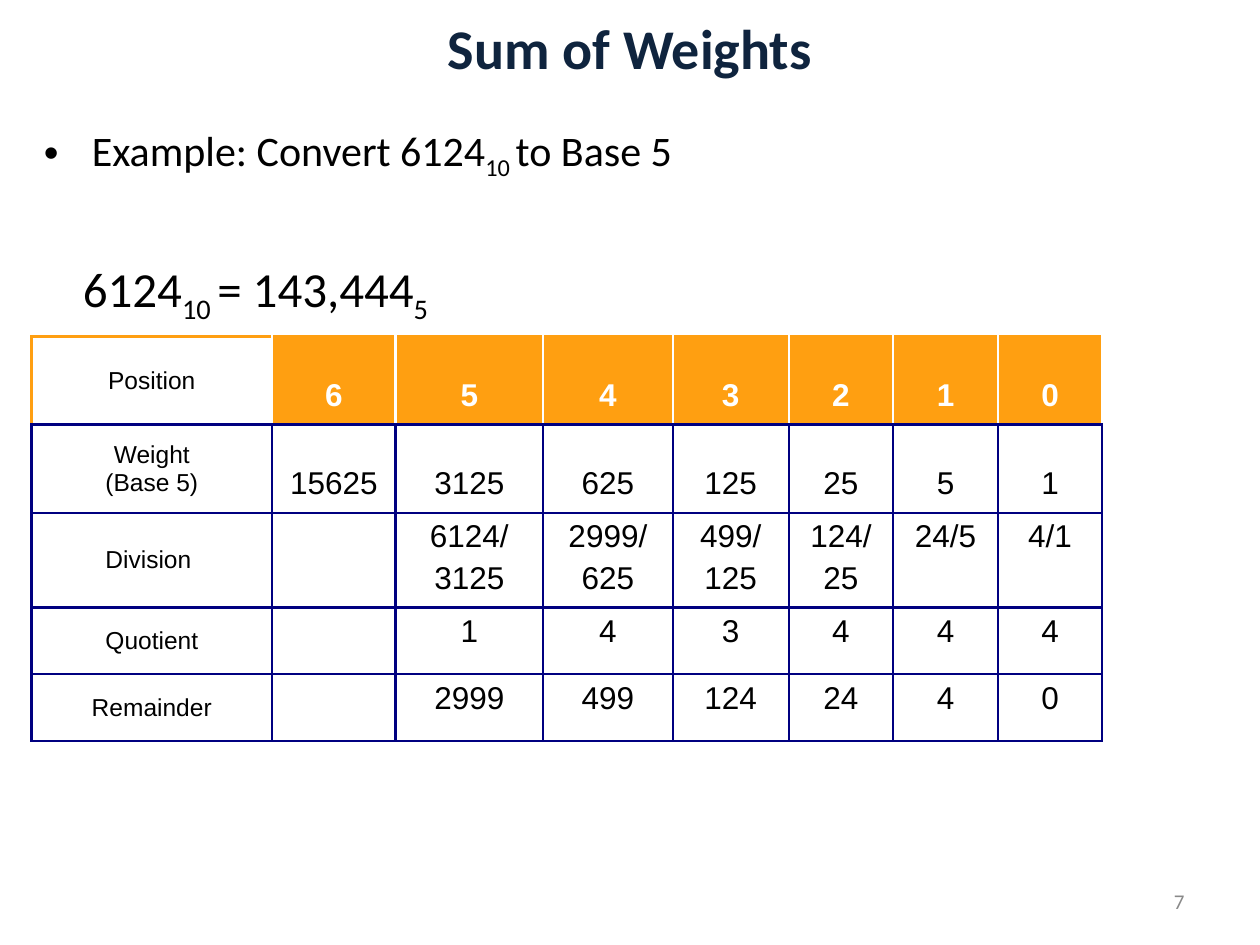
import pptx
import pptx.dml.color
import pptx.enum.text
import pptx.oxml
import pptx.oxml.ns
import pptx.util
from lxml import etree

WIDTH, HEIGHT = 10, 7.5
NAVY, ORANGE, WHITE, BLACK = "000080", "FF9F11", "FFFFFF", "000000"
ALIGN = pptx.enum.text.PP_ALIGN
ANCHOR = pptx.enum.text.MSO_ANCHOR
COLUMN_WIDTHS = [1.91, 0.98, 1.17, 1.03, 0.92, 0.83, 0.83, 0.83]
ROW_HEIGHTS = [0.67, 0.67, 0.66, 0.71, 0.53, 0.53]
ROWS = [
    ["Position", "6", "5", "4", "3", "2", "1", "0"],
    ["Weight\n(Base 5)", "15625", "3125", "625", "125", "25", "5", "1"],
    ["Division ", "", "6124/\n3125", "2999/\n625", "499/\n125", "124/\n25", "24/5", "4/1"],
    ["Quotient", "", "1", "4", "3", "4", "4", "4"],
    ["Remainder", "", "2999", "499", "124", "24", "4", "0"],
]


def color(value):
    """Return the colour for a hex string."""
    return pptx.dml.color.RGBColor.from_string(value)


def box(left, top, width, height):
    """Turn shares of the slide's size into a position and size."""
    shares = (left * WIDTH, top * HEIGHT, width * WIDTH, height * HEIGHT)
    return [pptx.util.Inches(share) for share in shares]


def format_paragraph(paragraph, size, hex_color=BLACK, name="Calibri", bold=False, align=ALIGN.LEFT):
    """Set the alignment and font of a paragraph."""
    paragraph.alignment = align
    font = paragraph.font
    font.size, font.name, font.bold = pptx.util.Pt(size), name, bold
    font.color.rgb = color(hex_color)


def add_runs(paragraph, parts):
    """Add runs to a paragraph, every second one as a subscript."""
    for index, text in enumerate(parts):
        run = paragraph.add_run()
        run.text = text
        if index % 2:
            run._r.get_or_add_rPr().set("baseline", "-25000")


def add_text(slide, place, parts, size, hex_color=BLACK, align=ALIGN.LEFT, anchor=ANCHOR.TOP, wrap=True, bullet=False):
    """Add a one-paragraph text box."""
    frame = slide.shapes.add_textbox(*box(*place)).text_frame
    frame.word_wrap, frame.vertical_anchor = wrap, anchor
    paragraph = frame.paragraphs[0]
    if bullet:
        properties = paragraph._p.get_or_add_pPr()
        properties.set("marL", str(pptx.util.Inches(0.38)))
        properties.set("indent", str(pptx.util.Inches(-0.38)))
        etree.SubElement(properties, pptx.oxml.ns.qn("a:buFont"), typeface="Arial")
        etree.SubElement(properties, pptx.oxml.ns.qn("a:buChar"), char="•")
    format_paragraph(paragraph, size, hex_color, align=align)
    add_runs(paragraph, parts)


def set_borders(cell, left, right, top, bottom):
    """Draw the four borders of a cell, leaving out those without a colour."""
    properties = cell._tc.get_or_add_tcPr()
    namespace = pptx.oxml.ns.nsdecls("a")
    for side, hex_color in zip("LRTB", (left, right, top, bottom)):
        fill = f'<a:solidFill><a:srgbClr val="{hex_color}"/></a:solidFill>' if hex_color else "<a:noFill/>"
        width = pptx.util.Pt(1.5)
        properties.append(pptx.oxml.parse_xml(f'<a:ln{side} {namespace} w="{width}">{fill}</a:ln{side}>'))


def fill_cell(cell, hex_color=None):
    """Give a cell a solid fill, or none."""
    if hex_color:
        cell.fill.solid()
        cell.fill.fore_color.rgb = color(hex_color)
    else:
        cell.fill.background()


def write_cell(cell, text, is_label, is_header, is_double):
    """Write and format the lines of a cell."""
    cell.margin_left = cell.margin_right = pptx.util.Inches(0.12)
    cell.margin_top = cell.margin_bottom = pptx.util.Inches(0.05)
    cell.vertical_anchor = ANCHOR.MIDDLE if is_label else ANCHOR.TOP
    cell.text = text
    for index, paragraph in enumerate(cell.text_frame.paragraphs):
        if is_double:
            paragraph.line_spacing = 2.0
        if index and not is_label:
            paragraph.space_before = pptx.util.Pt(3.6)
        format_paragraph(paragraph, 14 if is_label else 18, WHITE if is_header else BLACK,
                         "Arial", is_header, ALIGN.CENTER)


def add_weights_table(slide):
    """Add the conversion table below its empty merged top row."""
    place = box(0.025, 2 / HEIGHT, sum(COLUMN_WIDTHS) / WIDTH, sum(ROW_HEIGHTS) / HEIGHT)
    table = slide.shapes.add_table(len(ROW_HEIGHTS), len(COLUMN_WIDTHS), *place).table
    table.first_row = table.horz_banding = False
    for column, width in zip(table.columns, COLUMN_WIDTHS):
        column.width = pptx.util.Inches(width)
    for row, height in zip(table.rows, ROW_HEIGHTS):
        row.height = pptx.util.Inches(height)
    last = len(COLUMN_WIDTHS) - 1
    for column in range(last + 1):
        set_borders(table.cell(0, column), None, None, None, ORANGE)
        fill_cell(table.cell(0, column))
    table.cell(0, 0).merge(table.cell(0, last))
    for row, texts in enumerate(ROWS, start=1):
        for column, text in enumerate(texts):
            cell = table.cell(row, column)
            is_label = column == 0
            is_header = row == 1 and not is_label
            write_cell(cell, text, is_label, is_header, row <= 2 and not is_label)
            if row == 1:
                set_borders(cell, ORANGE if is_label else WHITE, WHITE, ORANGE, NAVY)
            else:
                set_borders(cell, NAVY, NAVY, NAVY, NAVY)
            fill_cell(cell, ORANGE if is_header else WHITE if column == last else None)


def add_title(slide, text):
    """Place and format the slide title."""
    title = slide.shapes.title
    title.left, title.top, title.width, title.height = box(0, 0, 1, 0.1)
    title.text_frame.text = text
    title.text_frame.vertical_anchor = ANCHOR.MIDDLE
    format_paragraph(title.text_frame.paragraphs[0], 32, "0F243E", bold=True, align=ALIGN.CENTER)


def main():
    """Build the slide and save it."""
    presentation = pptx.Presentation()
    presentation.slide_width = pptx.util.Inches(WIDTH)
    presentation.slide_height = pptx.util.Inches(HEIGHT)
    slide = presentation.slides.add_slide(presentation.slide_layouts[5])
    add_title(slide, "Sum of Weights")
    add_text(slide, (0.717, 0.927, 0.233, 0.053), ["7"], 12, "898989", ALIGN.RIGHT, ANCHOR.MIDDLE)
    add_text(slide, (0.025, 0.125, 0.975, 0.105), ["Example: Convert 6124", "10 ", "to Base 5"], 24, bullet=True)
    add_weights_table(slide)
    add_text(slide, (0.056, 0.267, 0.304, 0.076), ["6124", "10 ", "= 143,444", "5"], 28, wrap=False)
    presentation.save("out.pptx")


if __name__ == "__main__":
    main()
